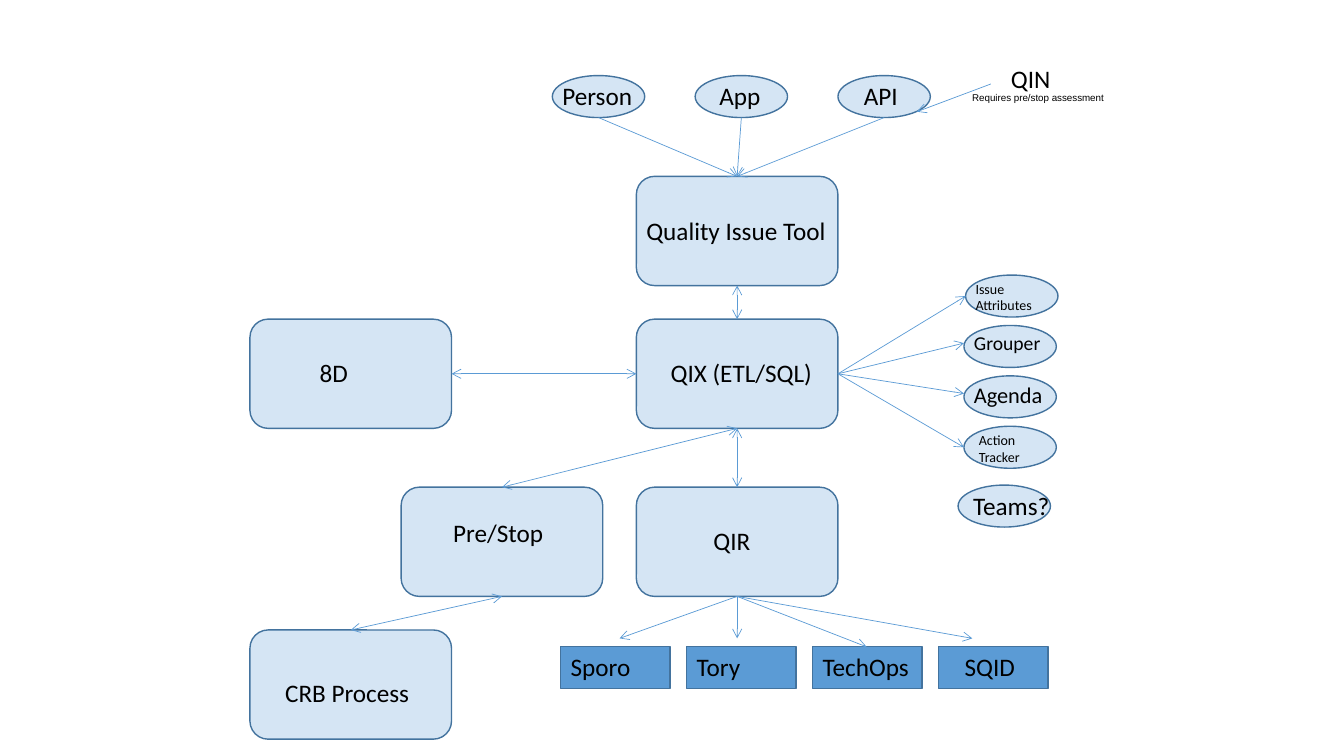
from collections import namedtuple

from pptx import Presentation
from pptx.dml.color import RGBColor
from pptx.enum.shapes import MSO_CONNECTOR as CONN, MSO_SHAPE as SHAPE
from pptx.enum.text import MSO_ANCHOR as ANCHOR, PP_ALIGN as ALIGN
from pptx.oxml.xmlchemy import OxmlElement
from pptx.util import Inches, Pt

BLUE = RGBColor(0x5B, 0x9B, 0xD5)
EDGE = RGBColor(0x43, 0x73, 0x9E)
BLACK = RGBColor(0, 0, 0)

# The slide is a grid of 160 columns by 90 rows, twelve to the inch.
PER_INCH = 12
SHIFT = -0.02
SLACK = 2  # spare columns that keep each label line unbroken


def col(c):
    """Horizontal position of a grid column."""
    return Inches(c / PER_INCH + SHIFT)


def size(n):
    """Length of n grid cells, also the vertical position of row n."""
    return Inches(n / PER_INCH)


class Box(namedtuple("Box", "x y w h")):
    """A rectangle in grid cells, with the middles of its sides."""

    @property
    def top(self):
        return self.x + self.w / 2, self.y

    @property
    def bottom(self):
        return self.x + self.w / 2, self.y + self.h

    @property
    def left(self):
        return self.x, self.y + self.h / 2

    @property
    def right(self):
        return self.x + self.w, self.y + self.h / 2

    def at(self, dx, dy, w, h):
        """A box of the given size, offset from this one's corner."""
        return Box(self.x + dx, self.y + dy, w, h)


def add_text(s, box, text, pt=18, font="Calibri", color=BLACK):
    """Add a left-aligned label with spare width; each line is a paragraph."""
    tb = s.shapes.add_textbox(col(box.x), size(box.y), size(box.w + SLACK), size(box.h))
    tf = tb.text_frame
    tf.word_wrap = True
    tf.vertical_anchor = ANCHOR.TOP
    for i, line in enumerate(text.split("\n")):
        p = tf.paragraphs[0] if i == 0 else tf.add_paragraph()
        p.alignment = ALIGN.LEFT
        r = p.add_run()
        r.text = line
        r.font.size, r.font.name = Pt(pt), font
        r.font.color.rgb = color


def add_node(s, kind, box, text, dx, dy, w, pt=18, alpha=25):
    """Add an outlined shape and its label, offset by dx and dy."""
    sp = s.shapes.add_shape(kind, col(box.x), size(box.y), size(box.w), size(box.h))
    sp.shadow.inherit = False
    sp.fill.solid()
    sp.fill.fore_color.rgb = BLUE
    if alpha < 100:
        a = OxmlElement("a:alpha")
        a.set("val", str(alpha * 1000))
        sp.fill._xPr.solidFill[0].append(a)
    sp.line.color.rgb = EDGE
    sp.line.width = Pt(1)
    add_text(s, box.at(dx, dy, w, 4.8), text, pt=pt)
    return box


def add_arrow(s, start, end, both=False):
    """Draw a thin open arrow between two grid points."""
    c = s.shapes.add_connector(CONN.STRAIGHT, col(start[0]), size(start[1]),
                               col(end[0]), size(end[1]))
    c.line.color.rgb = BLUE
    c.line.width = Pt(0.5)
    for tag in ["a:headEnd", "a:tailEnd"] if both else ["a:tailEnd"]:
        tip = OxmlElement(tag)
        tip.set("type", "arrow")
        c.line._get_or_add_ln().append(tip)
    c._element.spPr.append(OxmlElement("a:effectLst"))


def add_process(s, area):
    """Place the large process stages and link them; return them by name."""
    stages = {
        "tool": (46, 0, "Quality Issue Tool", 0, 4, 24),
        "qix": (46, 17, "QIX (ETL/SQL)", 2.9, 4, 19.1),
        "8d": (0, 17, "8D", 7.1, 4, 5.9),
        "pre": (18, 37, "Pre/Stop", 5, 3, 13.2),
        "qir": (46, 37, "QIR", 8, 4, 6.8),
        "crb": (0, 54, "CRB Process", 3, 5, 17.3),
    }
    b = {name: add_node(s, SHAPE.ROUNDED_RECTANGLE, area.at(x, y, 24, 13), *label)
         for name, (x, y, *label) in stages.items()}
    add_arrow(s, b["qix"].left, b["8d"].right, both=True)
    for upper, lower in [("tool", "qix"), ("qix", "pre"), ("qix", "qir"), ("pre", "crb")]:
        add_arrow(s, b[upper].bottom, b[lower].top, both=True)
    return b


def add_sources(s, area, target):
    """Place the row of issue sources, which all feed the target."""
    labels = [("Person", 0, 10.8), ("App", 1.7, 7.3), ("API", 1.9, 6.5)]
    for i, (text, dx, w) in enumerate(labels):
        box = add_node(s, SHAPE.OVAL, area.at(17 * i, 0, 11, 5), text, dx, 0, w)
        add_arrow(s, box.bottom, target.top)


def add_notice(s, area):
    """Place the QIN notice and its arrow to the API."""
    add_text(s, area.at(4.6, 0, 7.2, 4.8), "QIN")
    add_text(s, area.at(0, 3.3, 18.4, 2.6), "Requires pre/stop assessment",
             pt=7, font="Arial")
    add_arrow(s, (area.x + 3.4, area.y + 3), (area.x - 5.4, area.y + 6.3))


def add_features(s, area, source):
    """Place the column of features that the source feeds, and a loose one."""
    features = [(0.2, "Issue \nAttributes", 0, 9.4, 10, 0),
                (0, "Grouper", 0, 10.4, 14, -0.4),
                (0, "Agenda", 0, 10.7, 16, -0.4),
                (0, "Action\nTracker", 0.6, 7.6, 10, 0)]
    for i, (x, text, dx, w, pt, lift) in enumerate(features):
        box = add_node(s, SHAPE.OVAL, area.at(x, 6 * i, 11, 5), text, dx, 0, w, pt=pt)
        add_arrow(s, source.right, (box.x, box.left[1] + lift))
    add_node(s, SHAPE.OVAL, area.at(-0.7, 25, 11, 5), "Teams?", 0.6, 0, 11.6)


def add_systems(s, area, source):
    """Place the row of receiving systems below the source."""
    systems = [("Sporo", 0, 8.8, 7, -1), ("Tory", 0, 7.7, 6, -1),
               ("TechOps", 0, 12.8, 6.4, 0), ("SQID", 1.9, 8.5, 4, -1)]
    for i, (text, dx, w, tip_x, tip_y) in enumerate(systems):
        box = add_node(s, SHAPE.RECTANGLE, area.at(15 * i, 0, 13, 5),
                       text, dx, 0, w, alpha=100)
        add_arrow(s, source.bottom, (box.x + tip_x, box.y + tip_y))


def build_flow_slide(prs):
    """Build the quality issue flow on a blank slide."""
    s = prs.slides.add_slide(prs.slide_layouts[6])
    stages = add_process(s, Box(30, 21, 70, 67))
    add_sources(s, Box(66, 9, 45, 5), stages["tool"])
    add_notice(s, Box(114.8, 7, 18.4, 6))
    add_features(s, Box(115, 32.75, 11, 30), stages["qix"])
    add_systems(s, Box(67, 77, 58, 5), stages["qir"])


prs = Presentation()
prs.slide_width, prs.slide_height = size(160), size(90)
build_flow_slide(prs)
prs.save("out.pptx")
